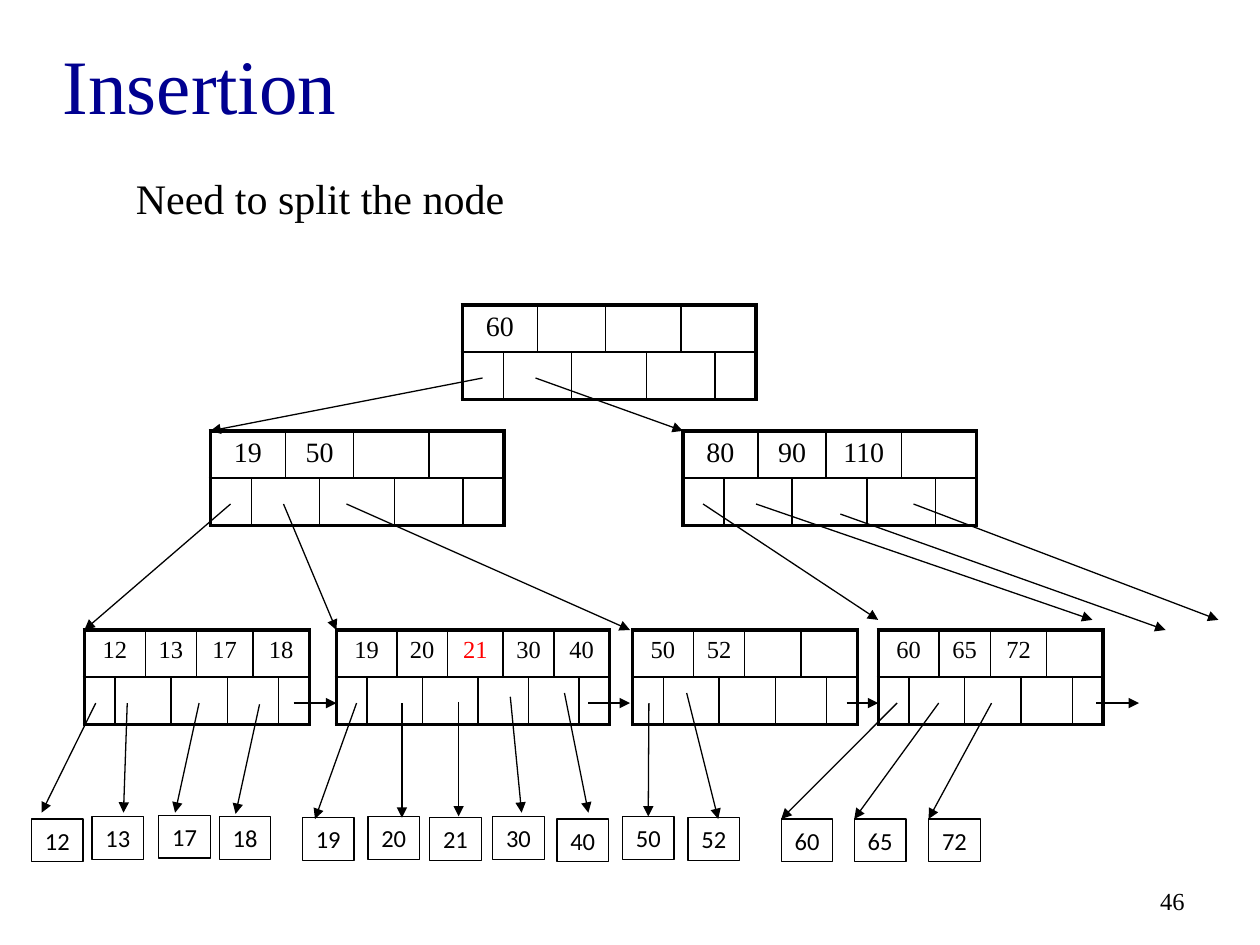
import lxml.etree
import pptx
import pptx.dml.color
import pptx.enum.shapes
import pptx.enum.text
import pptx.oxml.ns
import pptx.util

Inches = pptx.util.Inches
Pt = pptx.util.Pt
qn = pptx.oxml.ns.qn
ALIGN = pptx.enum.text.PP_ALIGN
ANCHOR = pptx.enum.text.MSO_ANCHOR
BLACK = pptx.dml.color.RGBColor(0, 0, 0)
NAVY = pptx.dml.color.RGBColor(0x00, 0x00, 0x90)
RED = pptx.dml.color.RGBColor(0xFF, 0, 0)
SERIF = "Times New Roman"
SANS = "Calibri"

deck = pptx.Presentation()
deck.slide_width = Inches(10)
deck.slide_height = Inches(7.5)
slide = deck.slides.add_slide(deck.slide_layouts[6])


def write(frame, text, size, font=SERIF, color=BLACK, align=ALIGN.LEFT):
    par = frame.paragraphs[0]
    par.alignment = align
    run = par.add_run()
    run.text = text
    run.font.size = Pt(size)
    run.font.name = font
    run.font.color.rgb = color


def arrow(start, end):
    line = slide.shapes.add_connector(
        pptx.enum.shapes.MSO_CONNECTOR.STRAIGHT,
        *(Inches(v) for v in start + end))
    line.line.color.rgb = BLACK
    line.line.width = Pt(0.75)
    props = line._element.spPr
    lxml.etree.SubElement(props.find(qn("a:ln")), qn("a:tailEnd"), type="triangle")
    lxml.etree.SubElement(props, qn("a:effectLst"))
    return line


# Headings and slide number: place, text, size, colour, alignment, anchor, wrap
texts = [
    ((0.4, 0.11, 9, 1.11), "Insertion", 44, NAVY, ALIGN.LEFT, ANCHOR.MIDDLE, True),
    ((0.98, 1.32, 3.17, 0.5), "Need to split the node", 24, BLACK, ALIGN.LEFT,
     ANCHOR.TOP, False),
    ((7.17, 6.95, 2.33, 0.4), "46", 14, BLACK, ALIGN.RIGHT, ANCHOR.MIDDLE, True),
]
for place, text, size, color, align, anchor, wrap in texts:
    frame = slide.shapes.add_textbox(*(Inches(v) for v in place)).text_frame
    frame.word_wrap = wrap
    frame.vertical_anchor = anchor
    write(frame, text, size, color=color, align=align)

# Tree nodes: left, top, width, text size, key slots
nodes = [
    (3.67, 2.42, 2.33, 16, ["60", "", "", ""]),
    (1.67, 3.42, 2.33, 16, ["19", "50", "", ""]),
    (5.42, 3.42, 2.33, 16, ["80", "90", "110", ""]),
    (0.67, 5, 1.75, 14, ["12", "13", "17", "18"]),
    (2.67, 5, 2.13, 14, ["19", "20", "21", "30", "40"]),
    (5.02, 5, 1.75, 14, ["50", "52", "", ""]),
    (6.97, 5, 1.75, 14, ["60", "65", "72", ""]),
]
for left, top, width, size, keys in nodes:
    count = 2 * len(keys)
    table = slide.shapes.add_table(
        2, count, Inches(left), Inches(top), Inches(width), Inches(0.75)).table
    table.first_row = table.horz_banding = False
    for row in table.rows:
        row.height = Inches(0.375)
    # Outer and fifth columns are wider, six parts against five
    parts = [6 if col in (0, 4, count - 1) else 5 for col in range(count)]
    for col, part in enumerate(parts):
        table.columns[col].width = Inches(width * part / sum(parts))
    # Keys fill pairs of columns; pointers sit half a step off
    for row, first in ((0, 0), (1, 1)):
        for col in range(first, count - first, 2):
            table.cell(row, col).merge(table.cell(row, col + 1))
    for row in range(2):
        for col in range(count):
            cell = table.cell(row, col)
            if cell.is_spanned:
                continue
            span = cell.span_width if cell.is_merge_origin else 1
            edges = {"L": col == 0, "R": col + span == count,
                     "T": row == 0, "B": row == 1}
            props = cell._tc.get_or_add_tcPr()
            for side, outer in edges.items():
                edge = lxml.etree.SubElement(
                    props, qn("a:ln" + side), w=str(Pt(2.25 if outer else 1)))
                fill = lxml.etree.SubElement(edge, qn("a:solidFill"))
                lxml.etree.SubElement(fill, qn("a:srgbClr"), val=str(BLACK))
            cell.fill.background()
            text = keys[col // 2] if row == 0 else ""
            if text:
                write(cell.text_frame, text, size, align=ALIGN.CENTER,
                      color=RED if text == "21" else BLACK)
            else:
                par = cell.text_frame.paragraphs[0]._p
                lxml.etree.SubElement(par, qn("a:endParaRPr"), sz=str(size * 100))

# Links between nodes
links = [
    ((3.83, 3), (1.67, 3.42)), ((4.25, 3), (5.42, 3.42)),
    ((1.83, 4), (0.67, 5)), ((2.25, 4), (2.67, 5)), ((2.75, 4), (5, 5)),
    ((5.58, 4), (6.97, 4.92)), ((6, 4), (8.67, 4.92)),
    ((6.67, 4.08), (9.25, 5)), ((7.25, 4), (9.67, 4.92)),
    ((2.33, 5.58), (2.67, 5.58)), ((4.67, 5.58), (5, 5.58)),
    ((6.72, 5.58), (6.97, 5.58)), ((8.7, 5.58), (9.04, 5.58)),
]
for start, end in links:
    arrow(start, end)

# Data records: key, left, top, arrow start, arrow end
records = [
    ("12", 0.25, 6.5, (0.76, 5.58), (0.33, 6.45)),
    ("13", 0.73, 6.48, (1.01, 5.58), (0.98, 6.45)),
    ("17", 1.26, 6.47, (1.58, 5.58), (1.39, 6.45)),
    ("18", 1.74, 6.48, (2.06, 5.59), (1.87, 6.46)),
    ("19", 2.4, 6.49, (2.83, 5.58), (2.5, 6.5)),
    ("20", 2.92, 6.48, (3.19, 5.58), (3.19, 6.49)),
    ("21", 3.41, 6.49, (3.64, 5.57), (3.64, 6.48)),
    ("30", 3.91, 6.48, (4.05, 5.53), (4.14, 6.45)),
    ("40", 4.42, 6.5, (4.48, 5.5), (4.67, 6.45)),
    ("50", 4.94, 6.48, (5.15, 5.58), (5.15, 6.48)),
    ("52", 5.46, 6.49, (5.45, 5.5), (5.7, 6.5)),
    ("60", 6.2, 6.5, (7.12, 5.58), (6.2, 6.5)),
    ("65", 6.78, 6.5, (7.45, 5.58), (6.78, 6.5)),
    ("72", 7.37, 6.5, (7.87, 5.58), (7.37, 6.5)),
]
for key, left, top, start, end in records:
    box = slide.shapes.add_shape(
        pptx.enum.shapes.MSO_SHAPE.RECTANGLE,
        Inches(left), Inches(top), Inches(0.41), Inches(0.34))
    box.shadow.inherit = False
    box.fill.background()
    box.line.color.rgb = BLACK
    box.line.width = Pt(0.75)
    frame = box.text_frame
    frame.word_wrap = False
    frame.auto_size = pptx.enum.text.MSO_AUTO_SIZE.SHAPE_TO_FIT_TEXT
    frame.vertical_anchor = ANCHOR.MIDDLE
    write(frame, key, 14, font=SANS, align=ALIGN.CENTER)
    line = arrow(start, end)
    if key == "50":
        line.end_connect(box, 0)

deck.save("out.pptx")
